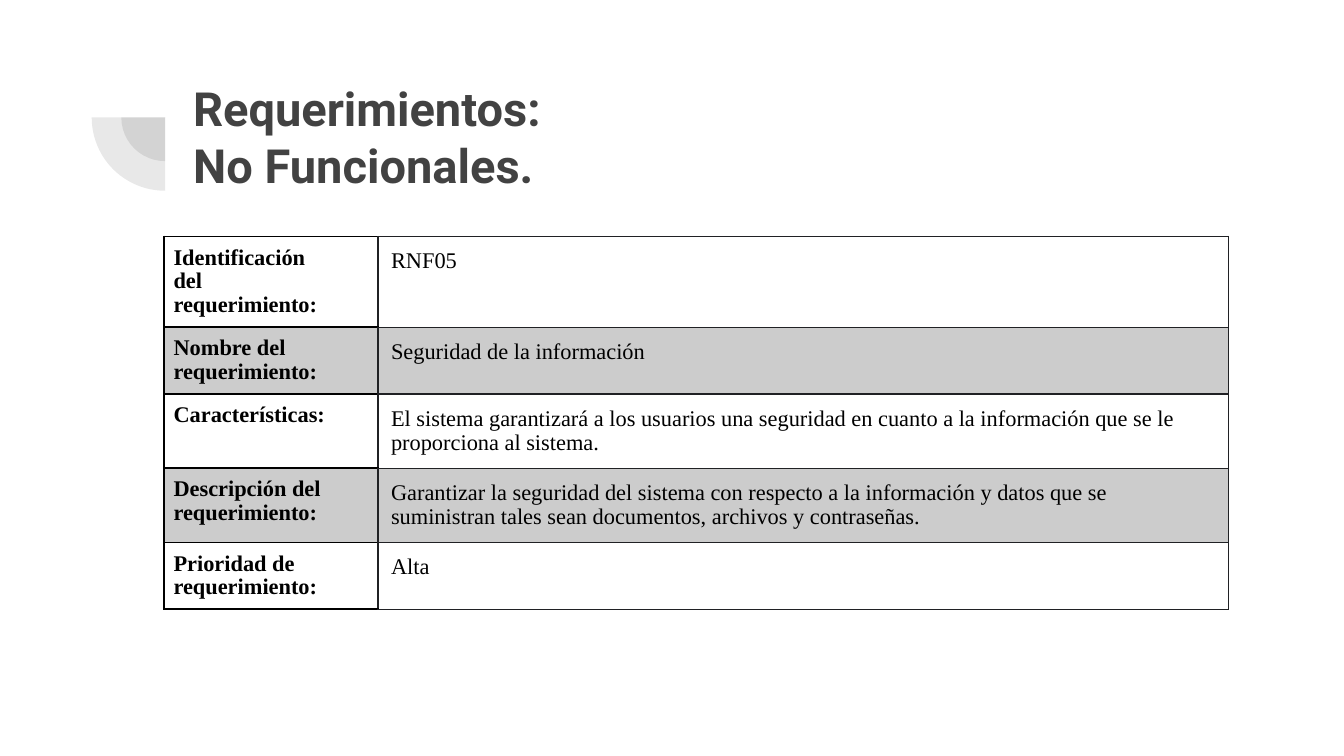
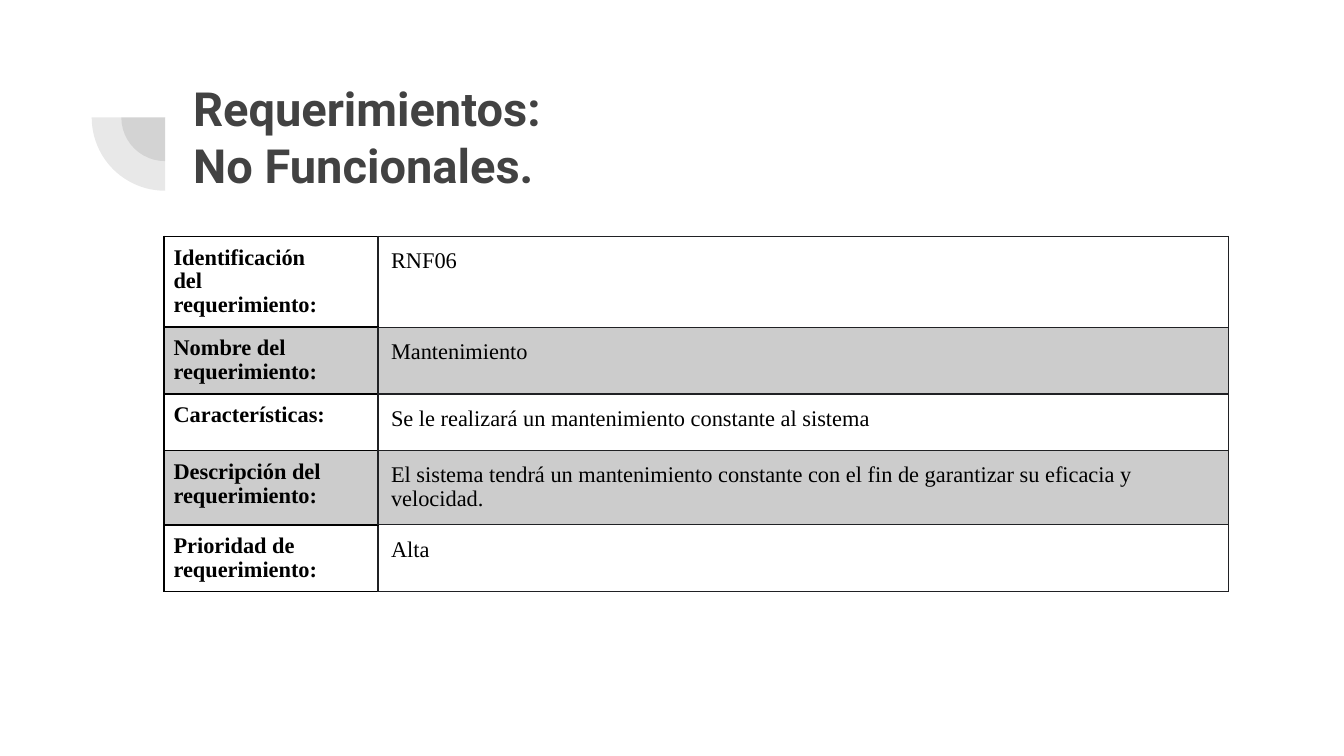
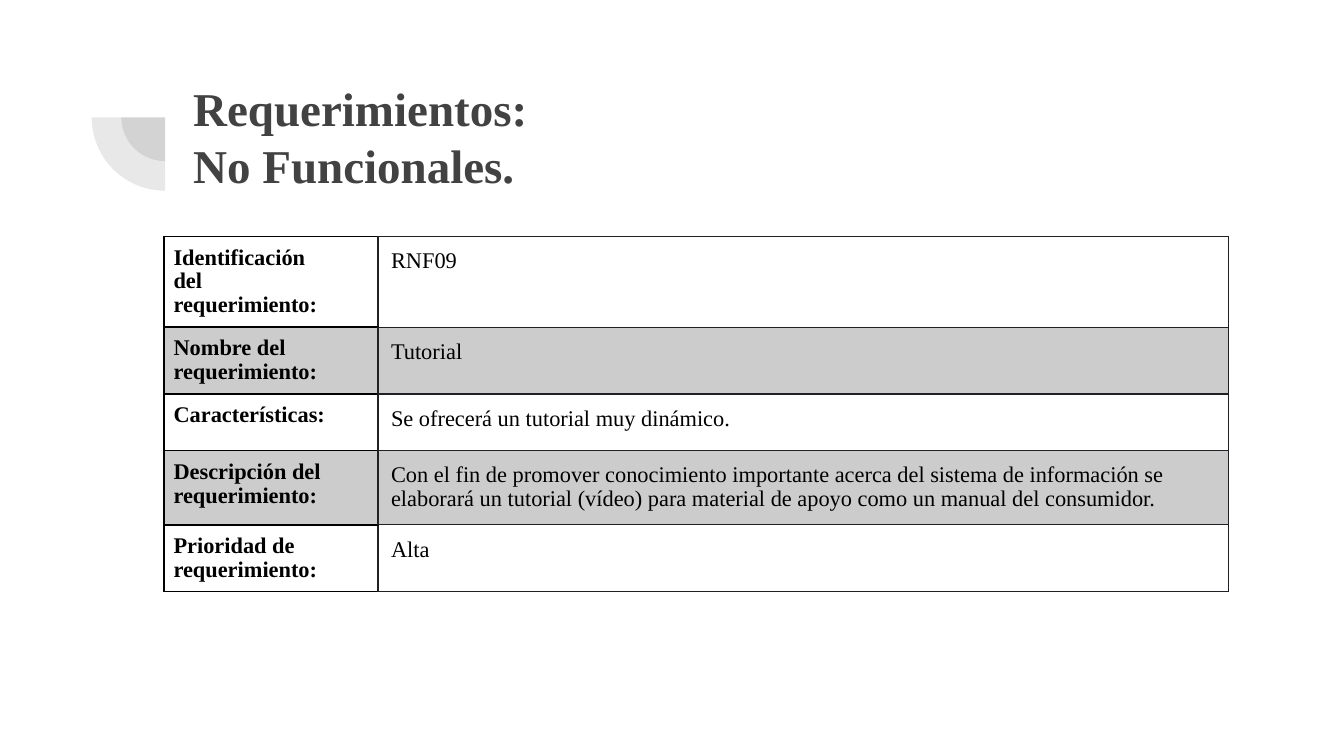
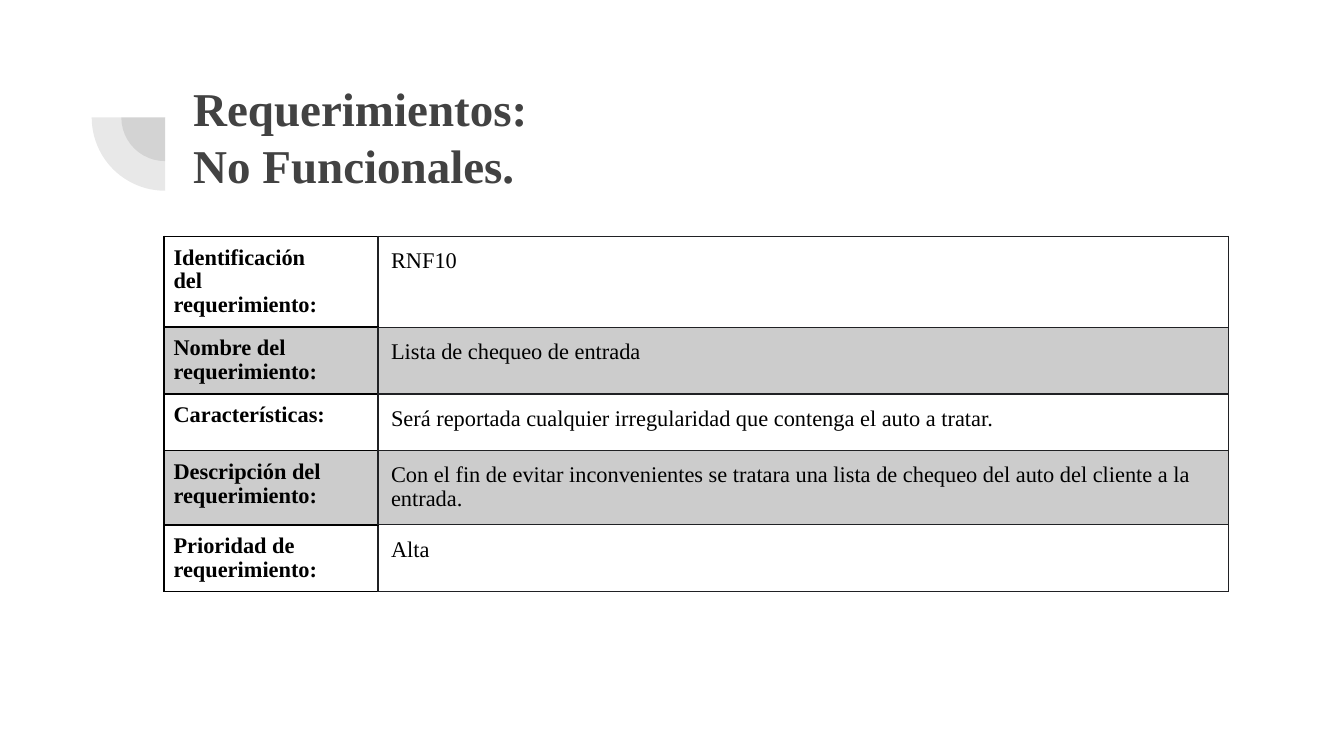
"""Build four slides that specify the non-functional requirements of a system."""

from lxml.etree import SubElement
from pptx import Presentation
from pptx.dml.color import RGBColor
from pptx.enum.shapes import MSO_SHAPE
from pptx.enum.text import MSO_ANCHOR, PP_ALIGN
from pptx.oxml.ns import qn
from pptx.util import Cm, Pt

COLORS = {
    "title": "424242",
    "text": "000000",
    "label_border": "000000",
    "value_border": "202124",
    "band": "CCCCCC",
}
SERIF = "Times New Roman"
SANS = "Roboto"
TITLE = ["Requerimientos:", "No Funcionales."]
LABELS = [
    ["Identificación del", "requerimiento:"],
    ["Nombre del", "requerimiento:"],
    ["Características:"],
    ["Descripción del requerimiento:"],
    ["Prioridad de", "requerimiento:"],
]
REQUIREMENTS = [
    (SANS, 7.62, [
        "RNF05",
        "Seguridad de la información",
        "El sistema garantizará a los usuarios una seguridad en cuanto a la "
        "información que se le proporciona al sistema.",
        "Garantizar la seguridad del sistema con respecto a la información y datos "
        "que se suministran tales sean documentos, archivos y contraseñas.",
        "Alta",
    ]),
    (SANS, 7.16, [
        "RNF06",
        "Mantenimiento",
        "Se le realizará un mantenimiento constante al sistema",
        "El sistema tendrá un mantenimiento constante con el fin de garantizar su "
        "eficacia y velocidad.",
        "Alta",
    ]),
    (SERIF, 7.16, [
        "RNF09",
        "Tutorial",
        "Se ofrecerá un tutorial muy dinámico.",
        "Con el fin de promover conocimiento importante acerca del sistema de "
        "información se elaborará un tutorial (vídeo) para material de apoyo como "
        "un manual del consumidor.",
        "Alta",
    ]),
    (SERIF, 7.16, [
        "RNF10",
        "Lista de chequeo de entrada",
        "Será reportada cualquier irregularidad que contenga el auto a tratar.",
        "Con el fin de evitar inconvenientes se tratara una lista de chequeo del "
        "auto del cliente a la entrada.",
        "Alta",
    ]),
]


def write_text(frame, lines, *, font, size, color, bold=False, spacing=1.0):
    """Write one formatted paragraph per line into a text frame."""
    frame.word_wrap = True
    for index, line in enumerate(lines):
        para = frame.add_paragraph() if index else frame.paragraphs[0]
        para.alignment = PP_ALIGN.LEFT
        para.line_spacing = spacing
        para.space_before = Pt(0)
        span = para.add_run()
        span.text = line
        span.font.name = font
        span.font.size = Pt(size)
        span.font.bold = bold
        span.font.color.rgb = RGBColor.from_string(color)


def add_quarter_rings(page, layout):
    """Draw the two translucent quarter circles and share them through the layout."""
    group = page.shapes.add_group_shape()
    center_x, center_y = 3.12, 2.22
    for size in (1.65, 2.77):
        pie = group.shapes.add_shape(
            MSO_SHAPE.PIE, Cm(center_x - size / 2), Cm(center_y - size / 2),
            Cm(size), Cm(size))
        pie.adjustments[0] = 107.93
        pie.adjustments[1] = 162
        pie.rotation = 270
        pie.shadow.inherit = False
        pie.line.fill.background()
        pie.fill.solid()
        pie.fill.fore_color.rgb = RGBColor.from_string(COLORS["title"])
        color = pie.element.spPr.find(qn("a:solidFill")).find(qn("a:srgbClr"))
        SubElement(color, qn("a:alpha"), val="12000")
    layout.shapes.element.append(group.element)


def add_title(page, font):
    """Place and fill the title."""
    title = page.shapes.title
    title.left, title.top, title.width, title.height = (
        Cm(3.4), Cm(1.19), Cm(19.53), Cm(2.77))
    frame = title.text_frame
    frame.vertical_anchor = MSO_ANCHOR.MIDDLE
    frame.margin_left = frame.margin_right = Cm(0.25)
    frame.margin_top = frame.margin_bottom = Cm(0.25)
    write_text(frame, TITLE, font=font, size=25.2, color=COLORS["title"],
               bold=True, spacing=Pt(30.5))


def set_borders(cell, **sides):
    """Give each side (L, R, T, B) of a cell a line of a colour and width."""
    properties = cell._tc.get_or_add_tcPr()
    for side, (color, width) in sides.items():
        line = SubElement(properties, qn(f"a:ln{side}"), w=str(Pt(width)))
        fill = SubElement(line, qn("a:solidFill"))
        SubElement(fill, qn("a:srgbClr"), val=color)


def format_cell(cell, lines, *, margin, bold, banded):
    """Fill one cell with text, margins and background."""
    cell.margin_left = cell.margin_right = Cm(margin)
    cell.margin_top = cell.margin_bottom = Cm(margin)
    cell.vertical_anchor = MSO_ANCHOR.TOP
    write_text(cell.text_frame, lines, font=SERIF, size=12,
               color=COLORS["text"], bold=bold, spacing=0.96)
    if banded:
        cell.fill.solid()
        cell.fill.fore_color.rgb = RGBColor.from_string(COLORS["band"])
    else:
        cell.fill.background()


def add_requirement_table(page, values, height):
    """Add the table of labels and values of one requirement."""
    frame = page.shapes.add_table(
        len(LABELS), 2, Cm(3.1), Cm(4.47), Cm(20.12), Cm(height))
    table = frame.table
    table.first_row = table.horz_banding = False
    table.columns[0].width, table.columns[1].width = Cm(4.04), Cm(16.08)
    dark = (COLORS["label_border"], 1)
    middle = (COLORS["value_border"], 1)
    thin = (COLORS["value_border"], 0.75)
    for index, (label, value) in enumerate(zip(LABELS, values)):
        table.rows[index].height = Cm(1.07)
        label_cell, value_cell = table.cell(index, 0), table.cell(index, 1)
        set_borders(label_cell, L=dark, R=middle, T=dark, B=dark)
        set_borders(value_cell, L=middle, R=thin, T=thin, B=thin)
        banded = index % 2 == 1
        format_cell(label_cell, label, margin=0.18, bold=True, banded=banded)
        format_cell(value_cell, [value], margin=0.25, bold=False, banded=banded)
    table.cell(0, 0).margin_right = Cm(0.86)
    frame.height = Cm(height)


def main():
    """Create the deck and save it."""
    deck = Presentation()
    deck.slide_width, deck.slide_height = Cm(25.4), Cm(14.29)
    layout = deck.slide_layouts[5]
    for index, (font, height, values) in enumerate(REQUIREMENTS):
        page = deck.slides.add_slide(layout)
        if index == 0:
            add_quarter_rings(page, layout)
        add_title(page, font)
        add_requirement_table(page, values, height)
    deck.save("out.pptx")


if __name__ == "__main__":
    main()
